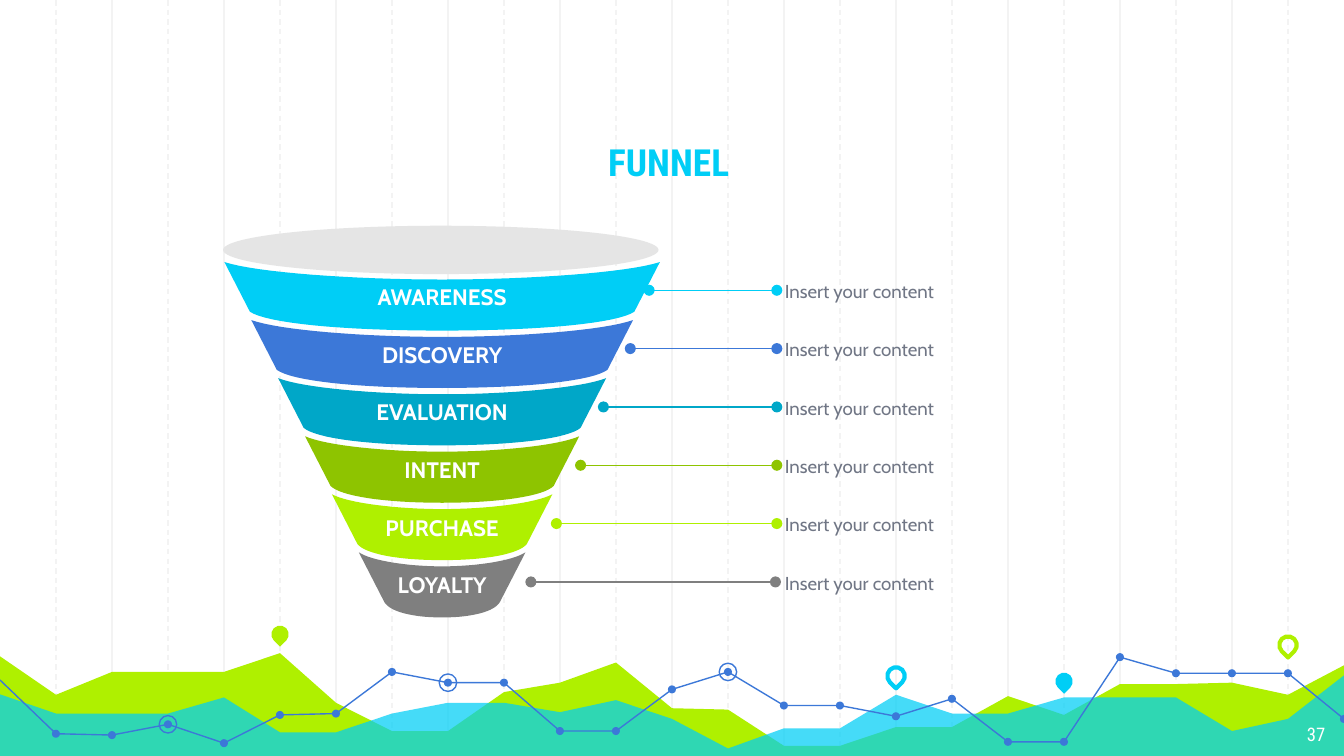
from lxml import etree
from pptx import Presentation
from pptx.dml.color import RGBColor
from pptx.enum import dml, shapes, text
from pptx.oxml import ns
from pptx.util import Inches, Pt

CYAN = RGBColor(0x00, 0xCE, 0xF6)
BLUE = RGBColor(0x3C, 0x78, 0xD8)
TEAL = RGBColor(0x00, 0xA7, 0xC8)
GREEN = RGBColor(0x8E, 0xC4, 0x00)
LIME = RGBColor(0xAF, 0xF0, 0x00)
GRAY = RGBColor(0x7F, 0x7F, 0x7F)
RIM = RGBColor(0xE5, 0xE5, 0xE5)
GRID = RGBColor(0xF3, 0xF3, 0xF3)
BODY = RGBColor(0x70, 0x76, 0x85)
WHITE = RGBColor(0xFF, 0xFF, 0xFF)
HEAD_FONT, BODY_FONT = "Roboto Condensed", "Cabin"

# Content: label, colour, start and end of the leader line
STAGES = [
    ("AWARENESS", CYAN, 4.83, 5.78),
    ("DISCOVERY", BLUE, 4.69, 5.78),
    ("EVALUATION", TEAL, 4.49, 5.78),
    ("INTENT", GREEN, 4.32, 5.78),
    ("PURCHASE", LIME, 4.14, 5.78),
    ("LOYALTY", GRAY, 3.95, 5.77),
]
NOTE = "Insert your content"

# Heights at each of the 25 grid positions
LIME_WAVE = [4.87, 5.17, 5, 5, 5, 4.86, 5.23, 5.44, 5.44, 5.15, 5.08, 4.93, 5.27,
             5.28, 5.55, 5.55, 5.41, 5.41, 5.18, 5.32, 5.09, 5.09, 5.08, 5.17, 4.94]
CYAN_WAVE = [5.16, 5.31, 5.31, 5.31, 5.19, 5.45, 5.45, 5.31, 5.23, 5.23, 5.3, 5.21, 5.35,
             5.57, 5.42, 5.42, 5.17, 5.31, 5.31, 5.19, 5.19, 5.19, 5.44, 5.35, 5.01]
TREND = [5.06, 5.46, 5.47, 5.39, 5.53, 5.32, 5.31, 5, 5.08, 5.08, 5.44, 5.44, 5.13,
         5, 5.25, 5.25, 5.33, 5.2, 5.52, 5.52, 4.89, 5.01, 5.01, 5.01, 5.35]
TREND_PARTS = [(0, 11), (11, 20), (20, 24)]
RINGED = [8, 3, 13]
# Pins: grid position, centre height, colour, filled
PINS = [(5, 4.72, LIME, True), (16, 5.03, CYAN, False),
        (19, 5.07, CYAN, True), (23, 4.8, LIME, False)]

STEP = 10 / 24
FLOOR = 5.65
CENTER = 3.29
BAND_PITCH = (4.11 - 1.95) / 5
NOTE_PITCH = (4.33 - 2.16) / 5

# Widescreen page, 16:9
deck = Presentation()
deck.slide_width, deck.slide_height = Inches(10), Inches(10) * 9 // 16
page = deck.slides.add_slide(deck.slide_layouts[5])


def paint(shape, fill=None, line=None, width=0.75):
    shape.shadow.inherit = False
    if fill is None:
        shape.fill.background()
    else:
        shape.fill.solid()
        shape.fill.fore_color.rgb = fill
    if line is None:
        shape.line.fill.background()
    else:
        shape.line.color.rgb = line
        shape.line.width = Pt(width)


def outline(points, closed=True):
    corners = [(Inches(x), Inches(y)) for x, y in points]
    builder = page.shapes.build_freeform(*corners[0])
    builder.add_line_segments(corners[1:], close=closed)
    return builder.convert_to_shape()


def centered(kind, x, y, size):
    return page.shapes.add_shape(kind, Inches(x - size / 2), Inches(y - size / 2),
                                 Inches(size), Inches(size))


def connect(x1, y1, x2, y2, color):
    line = page.shapes.add_connector(shapes.MSO_CONNECTOR.STRAIGHT, Inches(x1),
                                     Inches(y1), Inches(x2), Inches(y2))
    line.line.color.rgb = color
    line.line.width = Pt(0.75)
    etree.SubElement(line._element.spPr, ns.qn("a:effectLst"))
    return line


def write(shape, words, size, font, color, bold=False, align=text.PP_ALIGN.LEFT,
          anchor=text.MSO_ANCHOR.MIDDLE, inset=(0, 0)):
    frame = shape.text_frame
    frame.word_wrap = True
    frame.auto_size = text.MSO_AUTO_SIZE.NONE
    frame.vertical_anchor = anchor
    frame.margin_left = frame.margin_right = Inches(inset[0])
    frame.margin_top = frame.margin_bottom = Inches(inset[1])
    frame.text = words
    para = frame.paragraphs[0]
    para.alignment = align
    span = para.runs[0].font
    span.size, span.name, span.bold = Pt(size), font, bold
    span.color.rgb = color


def curve(p0, p1, p2, p3, steps=16):
    """Points along a cubic curve."""
    return [tuple((1 - t) ** 3 * a + 3 * (1 - t) ** 2 * t * b
                  + 3 * (1 - t) * t ** 2 * c + t ** 3 * d
                  for a, b, c, d in zip(p0, p1, p2, p3))
            for t in (k / steps for k in range(steps + 1))]


def arc(half, y, sag, reach):
    """Sagging edge from left to right, symmetric about the funnel's axis."""
    left = curve((CENTER - half, y), (CENTER - half * reach[0], y + sag * 0.6),
                 (CENTER - half * reach[1], y + sag), (CENTER, y + sag))
    return left + [(2 * CENTER - x, y) for x, y in left[-2::-1]]


# Background grid: solid lines, then dashed ones between them
for first, dashed in ((2, False), (1, True)):
    for i in range(first, 24, 2):
        grid_line = connect(i * STEP, 0, i * STEP, FLOOR, GRID)
        if dashed:
            grid_line.line.dash_style = dml.MSO_LINE.DASH

# Waves along the bottom
for heights, color in ((LIME_WAVE, LIME), (CYAN_WAVE, CYAN)):
    crest = [(i * STEP, y) for i, y in enumerate(heights)]
    crest[0], crest[-1] = (-0.02, heights[0]), (10.02, heights[-1])
    wave = outline(crest + [(10.02, FLOOR), (-0.03, FLOOR)])
    paint(wave, color)
tint = next(wave._element.spPr.iter(ns.qn("a:srgbClr")))
etree.SubElement(tint, ns.qn("a:alpha"), val="73000")

# Trend line with dots, rings and pins
trend = [(i * STEP, y) for i, y in enumerate(TREND)]
for start, end in TREND_PARTS:
    paint(outline(trend[start:end + 1], closed=False), line=BLUE)
for x, y in trend[1:]:
    paint(centered(shapes.MSO_SHAPE.OVAL, x, y, 0.06), BLUE)
for i in RINGED:
    paint(centered(shapes.MSO_SHAPE.OVAL, *trend[i], 0.13), line=BLUE)
for i, y, color, filled in PINS:
    pin = centered(shapes.MSO_SHAPE.TEAR, i * STEP, y, 0.13)
    pin.rotation = 135
    paint(pin, color if filled else None, None if filled else color, 2.25)

# Title, brought in front of the grid
title = page.shapes.title
title.left, title.top, title.width, title.height = map(Inches, (1.15, 0.69, 7.65, 0.78))
write(title, "FUNNEL", 20, HEAD_FONT, CYAN, True, text.PP_ALIGN.CENTER,
      text.MSO_ANCHOR.BOTTOM, (0.1, 0.1))
title._element.getparent().append(title._element)

# Page number
number = page.shapes.add_textbox(Inches(9.36), Inches(5.28), Inches(0.6), Inches(0.35))
write(number, "37", 10, HEAD_FONT, WHITE, align=text.PP_ALIGN.RIGHT,
      anchor=text.MSO_ANCHOR.TOP, inset=(0.1, 0.1))

# Funnel bands, each narrower than the one above
for i, (label, color, start, end) in enumerate(STAGES):
    top = 1.95 + i * BAND_PITCH
    upper = arc(1.62 - 0.2 * i, top, 0.13 - 0.005 * i, (0.85, 0.41))
    lower = arc(1.43 - 0.2 * i, top + 0.37, 0.14 - 0.005 * i, (0.91, 0.53))
    band = outline(upper + lower[::-1])
    paint(band, color)
    write(band, label, 12, BODY_FONT, WHITE, True, text.PP_ALIGN.CENTER,
          inset=(0.07, 0.04))

rim = page.shapes.add_shape(shapes.MSO_SHAPE.OVAL, Inches(1.66), Inches(1.68),
                            Inches(3.24), Inches(0.36))
paint(rim, RIM)

# Leader lines and notes
for i, (label, color, start, end) in enumerate(STAGES):
    y = 2.16 + i * NOTE_PITCH
    leader = connect(start, y, end, y, color)
    stroke = leader._element.spPr.find(ns.qn("a:ln"))
    for tip in ("a:headEnd", "a:tailEnd"):
        etree.SubElement(stroke, ns.qn(tip), type="oval")
    note = page.shapes.add_textbox(Inches(5.84), Inches(y - 0.15), Inches(2.5), Inches(0.31))
    write(note, NOTE, 10, BODY_FONT, BODY)

deck.save("out.pptx")
